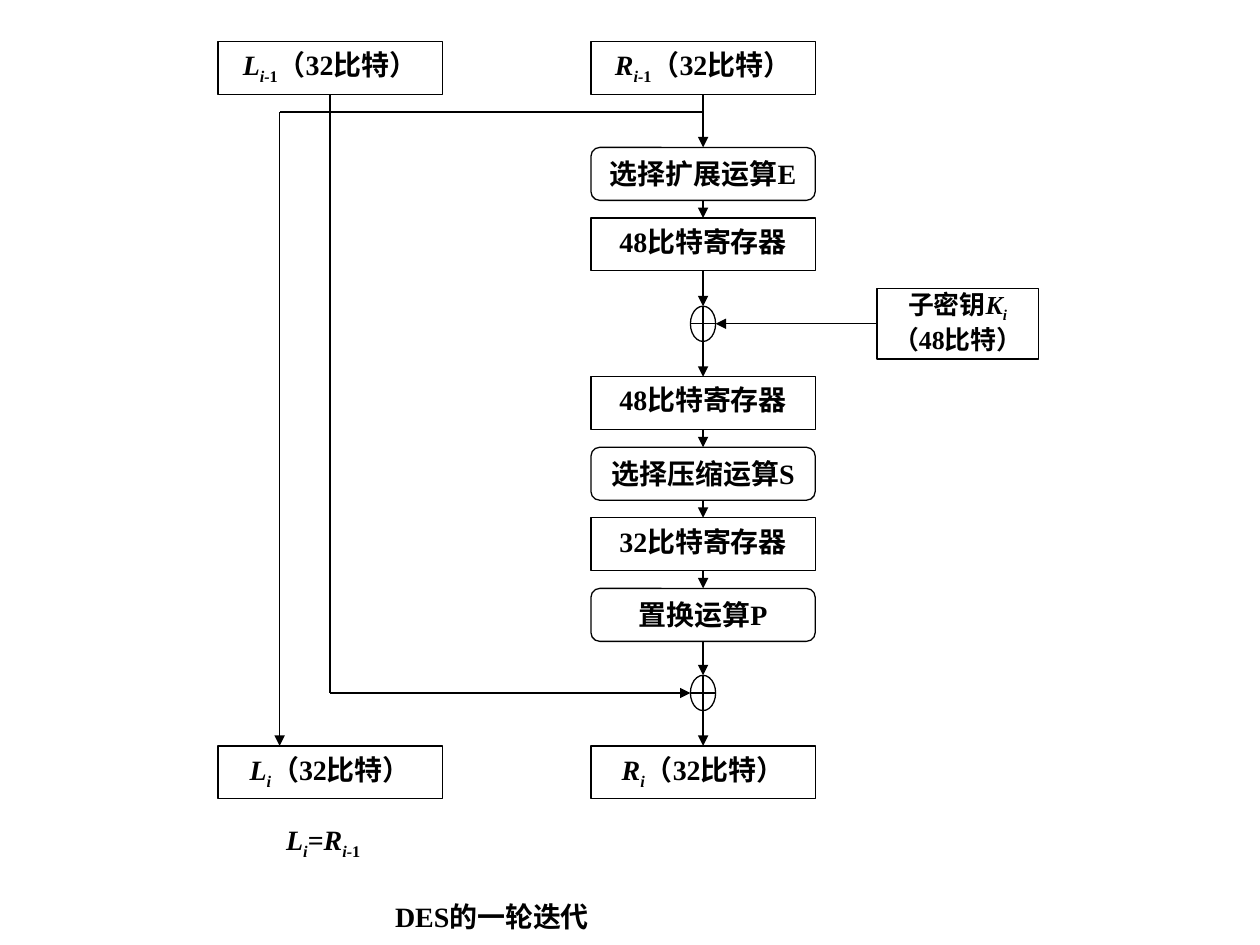
"""Build the slide that shows one round of the DES cipher."""
from dataclasses import dataclass
from itertools import pairwise

from lxml import etree
from pptx import Presentation
from pptx import util as u
from pptx.dml.color import RGBColor
from pptx.enum import shapes, text
from pptx.oxml.ns import qn


@dataclass(frozen=True)
class Theme:
    """Colours, font and type sizes of the slide."""
    ink: RGBColor = RGBColor(0, 0, 0)
    paper: RGBColor = RGBColor(255, 255, 255)
    font: str = "Times New Roman"
    body: float = 16
    small: float = 14.8
    stroke: float = 0.75


def add_span(para, wording, *, theme, size, italic=False, sub=False):
    """Append one bold run with its format to a paragraph."""
    span = para.add_run()
    span.text = wording
    font = span.font
    font.name, font.size, font.bold, font.italic = theme.font, u.Pt(size), True, italic
    font.color.rgb = theme.ink
    if sub:
        span._r.get_or_add_rPr().set("baseline", "-25000")


def symbol(letter, index="i", offset=""):
    """Return the spans of an italic letter with its subscript."""
    spans = [(letter, {"italic": True}), (index, {"italic": True, "sub": True})]
    return spans + [(offset, {"sub": True})] if offset else spans


class Diagram:
    """Holds the theme and the slide, and draws the parts of the diagram."""

    def __init__(self, slide, theme):
        """Keep the slide and its theme."""
        self.slide, self.theme = slide, theme

    def fill_text(self, box, lines, size=None, margins=(0.1, 0.05)):
        """Put centred lines of spans into a box."""
        frame = box.text_frame
        frame.word_wrap = True
        frame.vertical_anchor = text.MSO_ANCHOR.TOP
        frame.margin_left = frame.margin_right = u.Inches(margins[0])
        frame.margin_top = frame.margin_bottom = u.Inches(margins[1])
        for number, spans in enumerate(lines):
            para = frame.add_paragraph() if number else frame.paragraphs[0]
            para.alignment = text.PP_ALIGN.CENTER
            for wording, style in spans:
                add_span(para, wording, theme=self.theme, size=size or self.theme.body, **style)

    def shape(self, kind, left, top, width, height, outlined=True):
        """Draw a white preset shape."""
        shape = self.slide.shapes.add_shape(kind, *map(u.Inches, (left, top, width, height)))
        shape.shadow.inherit = False
        shape.fill.solid()
        shape.fill.fore_color.rgb = self.theme.paper
        if outlined:
            shape.line.color.rgb = self.theme.ink
            shape.line.width = u.Pt(self.theme.stroke)
        else:
            shape.line.fill.background()
        return shape

    def label(self, left, top, width, height, spans):
        """Place a plain caption."""
        box = self.slide.shapes.add_textbox(*map(u.Inches, (left, top, width, height)))
        self.fill_text(box, [spans])

    def line(self, start, end, arrow=True):
        """Draw a straight line, with an arrowhead at its end if asked."""
        line = self.slide.shapes.add_connector(
            shapes.MSO_CONNECTOR.STRAIGHT, *map(u.Inches, (*start, *end)))
        line.line.color.rgb = self.theme.ink
        line.line.width = u.Pt(self.theme.stroke)
        if arrow:
            etree.SubElement(line.line._get_or_add_ln(), qn("a:tailEnd"), type="triangle")
        etree.SubElement(line._element.spPr, qn("a:effectLst"))


BOX_WIDTH, BOX_HEIGHT = 1.78, 0.42
XOR_WIDTH, XOR_HEIGHT = 0.2, 0.28
LEFT_X, RIGHT_X = 2.62, 5.58
FIRST_TOP, LAST_TOP = 0.33, 5.92
BRANCH_X, BRANCH_Y = 2.22, 0.89
KEY_LEFT, KEY_TOP, KEY_WIDTH, KEY_HEIGHT = 6.96, 2.29, 1.28, 0.56
KEY_XOR_TOP, LAST_XOR_TOP = 2.43, 5.36

RECT = shapes.MSO_SHAPE.RECTANGLE
ROUND = shapes.MSO_SHAPE.ROUNDED_RECTANGLE
XOR = shapes.MSO_SHAPE.FLOWCHART_OR
HALF = [("（32比特）", {})]
PIPELINE = [
    (RECT, FIRST_TOP, symbol("R", "i-", "1") + HALF),
    (ROUND, 1.17, [("选择扩展运算E", {})]),
    (RECT, 1.73, [("48比特寄存器", {})]),
    (XOR, KEY_XOR_TOP, None),
    (RECT, 2.99, [("48比特寄存器", {})]),
    (ROUND, 3.55, [("选择压缩运算S", {})]),
    (RECT, 4.11, [("32比特寄存器", {})]),
    (ROUND, 4.67, [("置换运算P", {})]),
    (XOR, LAST_XOR_TOP, None),
    (RECT, LAST_TOP, symbol("R") + HALF),
]
LEFT_HALVES = [
    (RECT, FIRST_TOP, symbol("L", "i-", "1") + HALF),
    (RECT, LAST_TOP, symbol("L") + HALF),
]


def draw_column(diagram, center, steps):
    """Draw steps centred on one axis and return their top and bottom edges."""
    edges = []
    for kind, top, spans in steps:
        width, height = (BOX_WIDTH, BOX_HEIGHT) if spans else (XOR_WIDTH, XOR_HEIGHT)
        shape = diagram.shape(kind, center - width / 2, top, width, height)
        if spans:
            diagram.fill_text(shape, [spans])
        edges.append((top, top + height))
    return edges


def main():
    """Draw the round and save the deck."""
    deck = Presentation()
    deck.slide_width, deck.slide_height = u.Inches(10), u.Inches(7.5)
    theme = Theme()
    diagram = Diagram(deck.slides.add_slide(deck.slide_layouts[6]), theme)

    draw_column(diagram, LEFT_X, LEFT_HALVES)
    edges = draw_column(diagram, RIGHT_X, PIPELINE)
    for (_, bottom), (top, _) in pairwise(edges):
        diagram.line((RIGHT_X, bottom), (RIGHT_X, top))

    key = diagram.shape(RECT, KEY_LEFT, KEY_TOP, KEY_WIDTH, KEY_HEIGHT)
    diagram.fill_text(key, [[("子密钥", {})] + symbol("K"), [("（48比特）", {})]],
                      size=theme.small, margins=(0, 0))
    key_y = KEY_XOR_TOP + XOR_HEIGHT / 2
    diagram.line((KEY_LEFT, key_y), (RIGHT_X + XOR_WIDTH / 2, key_y))

    merge_y = LAST_XOR_TOP + XOR_HEIGHT / 2
    diagram.line((LEFT_X, FIRST_TOP + BOX_HEIGHT), (LEFT_X, merge_y), arrow=False)
    diagram.line((LEFT_X, merge_y), (RIGHT_X - XOR_WIDTH / 2, merge_y))
    diagram.line((RIGHT_X, BRANCH_Y), (BRANCH_X, BRANCH_Y), arrow=False)
    diagram.line((BRANCH_X, BRANCH_Y), (BRANCH_X, LAST_TOP))

    formula = diagram.shape(RECT, 2.02, 6.48, 1.09, BOX_HEIGHT, outlined=False)
    diagram.fill_text(formula, [symbol("L") + [("=", {})] + symbol("R", "i-", "1")])
    diagram.label(2.52, 7.09, 2.77, BOX_HEIGHT, [("DES的一轮迭代", {})])
    deck.save("out.pptx")


if __name__ == "__main__":
    main()
